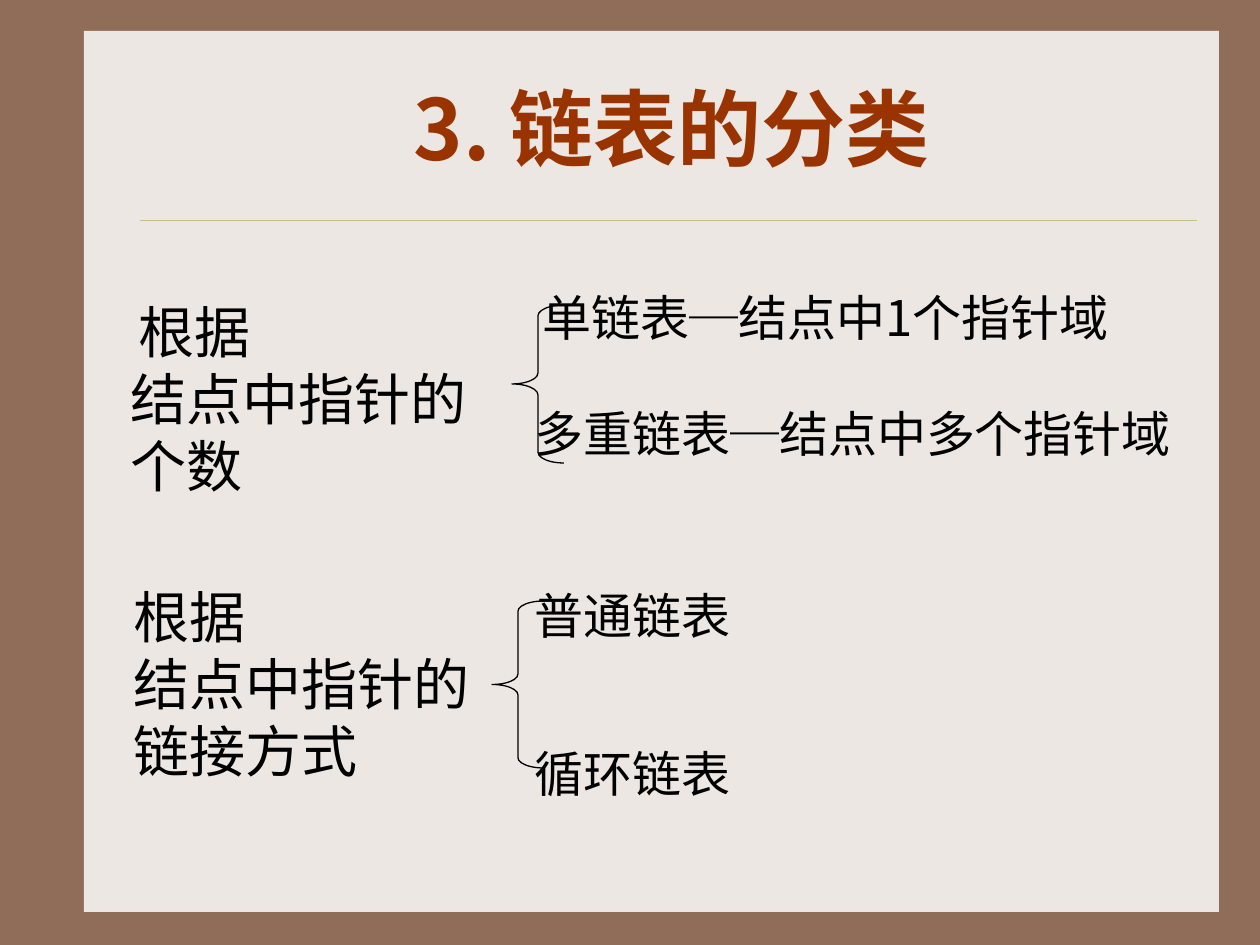
from lxml.etree import SubElement
from pptx import Presentation
from pptx.dml.color import RGBColor
from pptx.enum.shapes import MSO_CONNECTOR, MSO_SHAPE
from pptx.enum.text import MSO_ANCHOR, MSO_AUTO_SIZE, PP_ALIGN
from pptx.oxml.ns import qn
from pptx.util import Pt

BROWN = RGBColor(0x90, 0x6D, 0x58)
CREAM = RGBColor(0xED, 0xE7, 0xE3)
GOLD = RGBColor(0xCB, 0xBD, 0x83)
RUST = RGBColor(0x99, 0x33, 0x00)
BLACK = RGBColor(0x00, 0x00, 0x00)


def px(length):
    return round(length * 914400 / 126)


def assign(target, values):
    for name, value in values.items():
        setattr(target, name, value)


class SlideBuilder:
    """Holds the text style and the current slide, and adds each kind of element."""

    font = "Noto Sans CJK SC"
    leading = 1.2

    def __init__(self, presentation):
        self.slide = presentation.slides.add_slide(presentation.slide_layouts[1])
        self.title_holder, self.body_holder = self.slide.placeholders

    def background(self, color):
        fill = self.slide.background.fill
        fill.solid()
        fill.fore_color.rgb = color

    def send_to_back(self, shape, depth):
        self.slide.shapes._spTree.insert(2 + depth, shape._element)

    def panel(self, box, color):
        shape = self.slide.shapes.add_shape(MSO_SHAPE.RECTANGLE, *map(px, box))
        shape.shadow.inherit = False
        shape.fill.solid()
        shape.fill.fore_color.rgb = color
        shape.line.fill.background()
        self.send_to_back(shape, 0)

    def rule(self, left, right, y, color):
        line = self.slide.shapes.add_connector(
            MSO_CONNECTOR.STRAIGHT, px(left), px(y), px(right), px(y))
        line.line.color.rgb = color
        line.line.width = Pt(0.25)
        SubElement(line._element.spPr, qn("a:effectLst"))
        self.send_to_back(line, 1)

    def brace(self, box, curve):
        shape = self.slide.shapes.add_shape(MSO_SHAPE.LEFT_BRACE, *map(px, box))
        shape.shadow.inherit = False
        shape.adjustments[0] = curve
        shape.fill.background()
        shape.line.color.rgb = BLACK
        shape.line.width = Pt(0.75)

    def fill_text(self, shape, box, lines, size, color=BLACK, bold=False,
                  align=PP_ALIGN.LEFT, anchor=MSO_ANCHOR.TOP):
        assign(shape, dict(zip(("left", "top", "width", "height"), map(px, box))))
        frame = shape.text_frame
        assign(frame, {"word_wrap": True, "auto_size": MSO_AUTO_SIZE.NONE,
                       "vertical_anchor": anchor})
        frame.text = "\n".join(text for text, _, _ in lines)
        for paragraph, (_, indent, gap) in zip(frame.paragraphs, lines):
            assign(paragraph, {"alignment": align, "space_before": Pt(gap),
                               "line_spacing": Pt(size * self.leading)})
            properties = paragraph._p.get_or_add_pPr()
            properties.set("marL", str(px(indent)))
            properties.set("indent", "0")
            SubElement(properties, qn("a:buNone"))
            run = paragraph.runs[0]
            assign(run.font, {"name": self.font, "size": Pt(size), "bold": bold})
            run.font.color.rgb = color
            SubElement(run._r.rPr, qn("a:ea"), typeface=self.font)

    def title(self, box, text):
        self.fill_text(self.title_holder, box, [(text, 0, 0)], 48, RUST, True,
                       PP_ALIGN.CENTER, MSO_ANCHOR.MIDDLE)

    def body(self, box, lines):
        self.fill_text(self.body_holder, box, lines, 28)

    def label(self, box, lines):
        shape = self.slide.shapes.add_textbox(*map(px, box))
        self.fill_text(shape, box, lines, 32)


def main():
    presentation = Presentation()
    assign(presentation, {"slide_width": px(1260), "slide_height": px(945)})
    builder = SlideBuilder(presentation)
    builder.background(BROWN)
    builder.panel((84, 31, 1135, 881), CREAM)
    builder.rule(140, 1197, 220, GOLD)
    builder.title((136, 53, 1071, 147), "3. 链表的分类")
    builder.body((522, 281, 696, 588), [
        ("单链表─结点中1个指针域", 8, 0),
        ("多重链表─结点中多个指针域", 0, 33),
        ("普通链表", 0, 70),
        ("循环链表", 0, 57),
    ])
    builder.label((118, 291, 473, 214), [
        ("根据", 8, 0), ("结点中指针的", 0, 0), ("个数", 0, 0)])
    builder.label((108, 576, 588, 214), [
        (text, 13, 0) for text in ("根据", "结点中指针的", "链接方式")])
    builder.brace((512, 305, 52, 158), 0.21)
    builder.brace((492, 601, 52, 167), 0.2)
    presentation.save("out.pptx")


if __name__ == "__main__":
    main()
